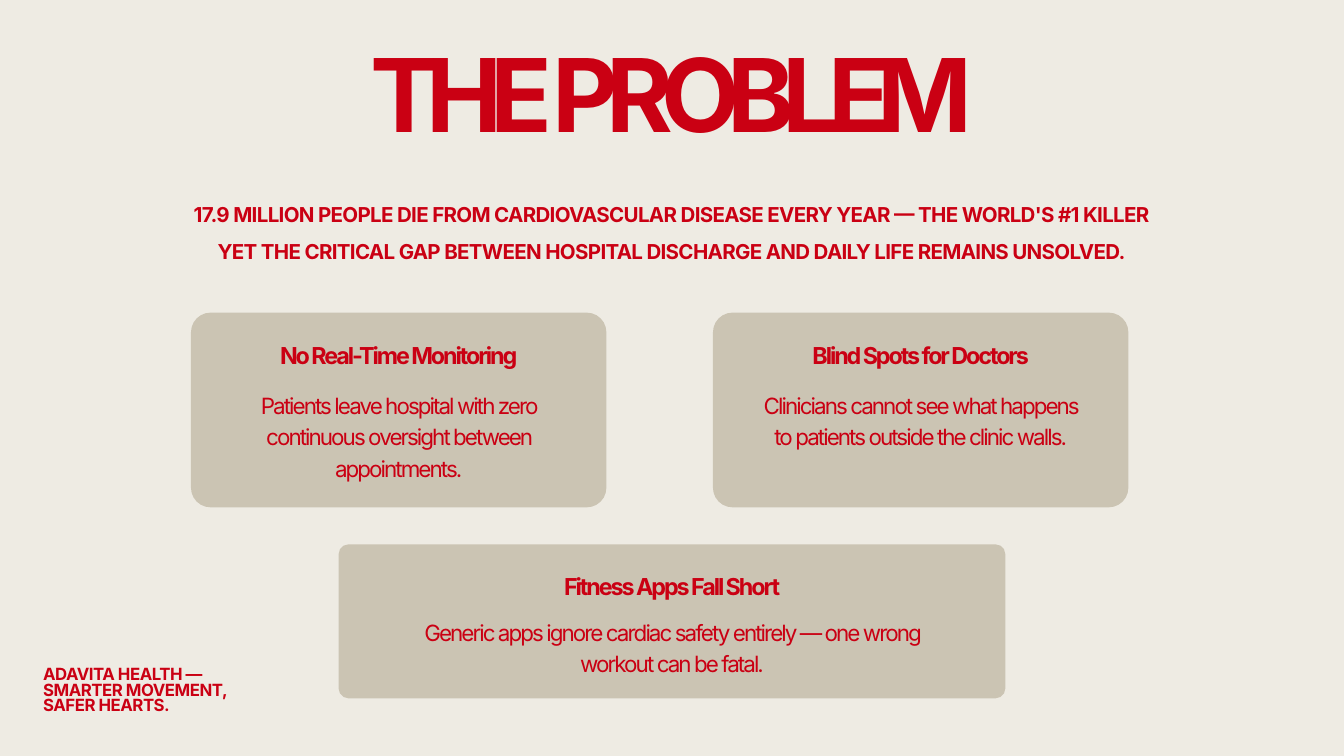
from pptx import Presentation
from pptx.dml.color import RGBColor
from pptx.enum.shapes import MSO_SHAPE as Shape
from pptx.enum.text import MSO_AUTO_SIZE as AutoSize, PP_ALIGN as Align
from pptx.util import Cm, Pt

SLIDE_WIDTH, SLIDE_HEIGHT = 50.8, 28.58
RED, SAND, CREAM = "CA0013", "CBC4B3", "EEEBE3"


def paint(color_format, hex_color):
    color_format.rgb = RGBColor.from_string(hex_color)


def fill_solid(fill, hex_color):
    fill.solid()
    paint(fill.fore_color, hex_color)


def add_text(slide, box, text, *, size, line, tracking, bold=True, align=Align.CENTER):
    textbox = slide.shapes.add_textbox(*map(Cm, box))
    frame = textbox.text_frame
    frame.word_wrap = True
    frame.auto_size = AutoSize.SHAPE_TO_FIT_TEXT
    frame.margin_left = frame.margin_right = 0
    frame.margin_top = frame.margin_bottom = 0
    paragraph = frame.paragraphs[0]
    paragraph.alignment = align
    paragraph.line_spacing = Pt(line)
    run = paragraph.add_run()
    run.text = text
    run.font.name = "Inter"
    run.font.size = Pt(size)
    run.font.bold = bold
    paint(run.font.color, RED)
    run.font._element.set("spc", str(round(tracking * 100)))


def add_title(slide, box):
    add_text(slide, box, "THE PROBLEM", size=109, line=86.1, tracking=-12.9, align=Align.LEFT)


def add_statement(slide, box):
    left, top, width, height = box
    lines = [
        ("17.9 MILLION PEOPLE DIE FROM CARDIOVASCULAR DISEASE EVERY YEAR — THE WORLD'S #1 KILLER", 0),
        ("YET THE CRITICAL GAP BETWEEN HOSPITAL DISCHARGE AND DAILY LIFE REMAINS UNSOLVED.", 0.94),
    ]
    for row, (sentence, inset) in enumerate(lines):
        line_box = (left + inset, top + row * 1.4, width - 2 * inset, height)
        add_text(slide, line_box, sentence, size=22, line=30.8, tracking=-0.7)


def add_card(slide, box, heading, body, *, radius, body_top, body_width):
    left, top, width, height = box
    panel = slide.shapes.add_shape(Shape.ROUNDED_RECTANGLE, *map(Cm, box))
    panel.adjustments[0] = radius / height
    panel.shadow.inherit = False
    panel.line.fill.background()
    fill_solid(panel.fill, SAND)

    def centred(offset, inner_width, inner_height):
        return left + (width - inner_width) / 2, top + offset, inner_width, inner_height

    add_text(slide, centred(0.89, 12.65, 1.17), heading, size=25, line=35, tracking=-2.2)
    add_text(slide, centred(body_top, body_width, 3.45), body,
             size=24, line=33.6, tracking=-2.1, bold=False)


def add_tagline(slide, box):
    add_text(slide, box, "ADAVITA HEALTH — SMARTER MOVEMENT, SAFER HEARTS.",
             size=18, line=16.7, tracking=-0.5, align=Align.LEFT)


def main():
    deck = Presentation()
    deck.slide_width, deck.slide_height = Cm(SLIDE_WIDTH), Cm(SLIDE_HEIGHT)
    slide = deck.slides.add_slide(deck.slide_layouts[6])
    fill_solid(slide.background.fill, CREAM)

    add_title(slide, (14.02, 2.74, 22.78, 3.45))
    add_statement(slide, (7.21, 7.49, 36.35, 2.11))

    gaps = [
        ("No Real-Time Monitoring",
         "Patients leave hospital with zero continuous oversight between appointments."),
        ("Blind Spots for Doctors",
         "Clinicians cannot see what happens to patients outside the clinic walls."),
    ]
    for column, (heading, body) in enumerate(gaps):
        add_card(slide, (7.22 + column * 19.73, 11.82, 15.7, 7.36), heading, body,
                 radius=0.74, body_top=2.84, body_width=12.65)
    add_card(slide, (12.8, 20.58, 25.2, 5.82), "Fitness Apps Fall Short",
             "Generic apps ignore cardiac safety entirely — one wrong workout can be fatal.",
             radius=0.37, body_top=2.64, body_width=19.5)

    add_tagline(slide, (1.63, 25.27, 6.99, 1.78))
    deck.save("out.pptx")


if __name__ == "__main__":
    main()
